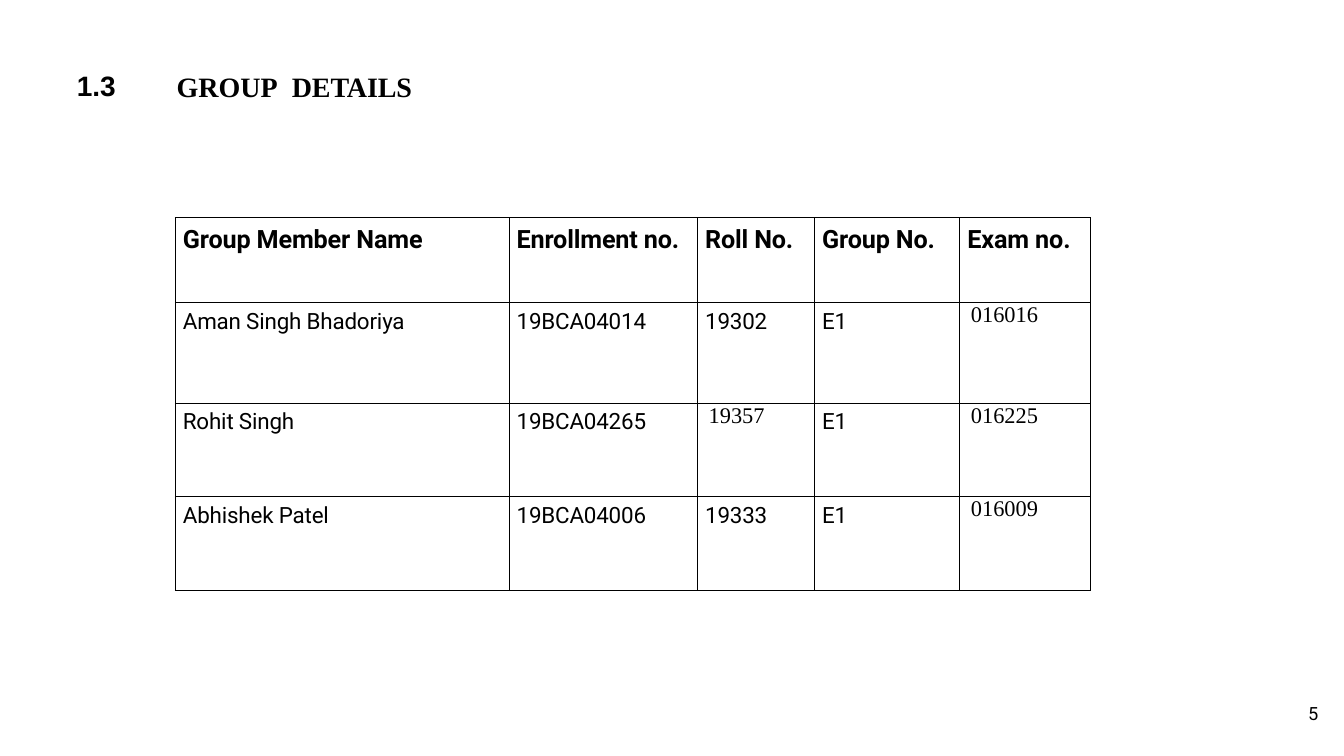
from lxml import etree
from pptx import Presentation
from pptx.dml.color import RGBColor
from pptx.enum.text import MSO_ANCHOR, MSO_AUTO_SIZE
from pptx.oxml.ns import qn
from pptx.util import Cm, Pt

TOP = MSO_ANCHOR.TOP
FIT_SHAPE = MSO_AUTO_SIZE.SHAPE_TO_FIT_TEXT
INK = "000000"
PAPER = "FFFFFF"
BODY_FONT = "Roboto"
SERIF_FONT = "Times New Roman"
TIGHT = -0.1

HEADINGS = ["Group Member Name", "Enrollment no.", "Roll No.", "Group No.", "Exam no."]
MEMBERS = [
    ["Aman Singh Bhadoriya", "19BCA04014", "19302", "E1", "016016"],
    ["Rohit Singh", "19BCA04265", "19357", "E1", "016225"],
    ["Abhishek Patel", "19BCA04006", "19333", "E1", "016009"],
]
SERIF_ENTRIES = {"016016", "19357", "016225", "016009"}
COLUMN_WIDTHS = [8.41, 4.75, 2.95, 3.66, 3.3]
ROW_HEIGHTS = [2.13, 2.54, 2.36, 2.36]


def color(value):
    return RGBColor.from_string(value)


class SlideWriter:
    def __init__(self, page):
        self.page = page

    def paragraph(self, frame, spans, font, size, bold=False, indent=0, before=0):
        """Fill the first paragraph with (text, letter spacing) spans."""
        para = frame.paragraphs[0]
        para.space_before = Pt(before)
        properties = para._p.get_or_add_pPr()
        properties.set("marL", str(Cm(indent)))
        properties.set("indent", "0")
        for text, spacing in spans:
            span = para.add_run()
            span.text = text
            span.font.name = font
            span.font.size = Pt(size)
            span.font.bold = bold
            span.font.color.rgb = color(INK)
            span.font._element.set("spc", str(round(spacing * 100)))

    def text(self, left, top, width, height, spans, font, size, **style):
        box = self.page.shapes.add_textbox(Cm(left), Cm(top), Cm(width), Cm(height))
        frame = box.text_frame
        frame.word_wrap = True
        frame.auto_size = FIT_SHAPE
        frame.margin_left = frame.margin_right = frame.margin_bottom = 0
        frame.margin_top = Cm(0.03)
        self.paragraph(frame, spans, font, size, **style)

    def borders(self, cell):
        properties = cell._tc.get_or_add_tcPr()
        for order, side in enumerate(("a:lnL", "a:lnR", "a:lnT", "a:lnB")):
            line = etree.Element(qn(side), w=str(Pt(1)))
            fill = etree.SubElement(line, qn("a:solidFill"))
            etree.SubElement(fill, qn("a:srgbClr"), val=INK)
            properties.insert(order, line)

    def cell(self, cell, text, heading):
        serif = text in SERIF_ENTRIES
        cell.fill.solid()
        cell.fill.fore_color.rgb = color(PAPER)
        cell.vertical_anchor = TOP
        cell.margin_left = cell.margin_right = cell.margin_bottom = 0
        if serif:
            cell.margin_top = 0
            self.paragraph(cell.text_frame, [(text, 0)], SERIF_FONT, 16, indent=0.28)
        else:
            cell.margin_top = Cm(0.18 if heading else 0.15)
            self.paragraph(cell.text_frame, [(text, TIGHT)], BODY_FONT,
                           18 if heading else 16, bold=heading, indent=0.19,
                           before=5 if heading else 4.2)
        self.borders(cell)

    def table(self, left, top, widths, heights, rows):
        frame = self.page.shapes.add_table(
            len(rows), len(widths), Cm(left), Cm(top), Cm(sum(widths)), Cm(sum(heights)))
        table = frame.table
        table.first_row = table.horz_banding = False
        for column, width in zip(table.columns, widths):
            column.width = Cm(width)
        for row, height in zip(table.rows, heights):
            row.height = Cm(height)
        for r, texts in enumerate(rows):
            for c, text in enumerate(texts):
                self.cell(table.cell(r, c), text, heading=r == 0)


def main():
    deck = Presentation()
    deck.slide_width, deck.slide_height = Cm(33.87), Cm(19.05)
    page = deck.slides.add_slide(deck.slide_layouts[6])
    writer = SlideWriter(page)

    # Page number
    writer.text(32.87, 17.68, 0.71, 0.61, [("5", TIGHT)], BODY_FONT, 13,
                indent=0.1, before=0.7)

    # Group members
    writer.table(4.42, 5.49, COLUMN_WIDTHS, ROW_HEIGHTS, [HEADINGS, *MEMBERS])

    # Section number and title, with a widened word gap
    heading = {"size": 20, "bold": True, "indent": 0.03, "before": 1.1}
    writer.text(1.91, 1.7, 2.51, 0.89, [("1.", TIGHT), ("3", 0)], "Arial", **heading)
    writer.text(4.42, 1.73, 8.48, 1.78,
                [("GROUP", 0), (" ", 5), ("DETAILS", TIGHT)], SERIF_FONT, **heading)

    deck.save("out.pptx")


if __name__ == "__main__":
    main()
